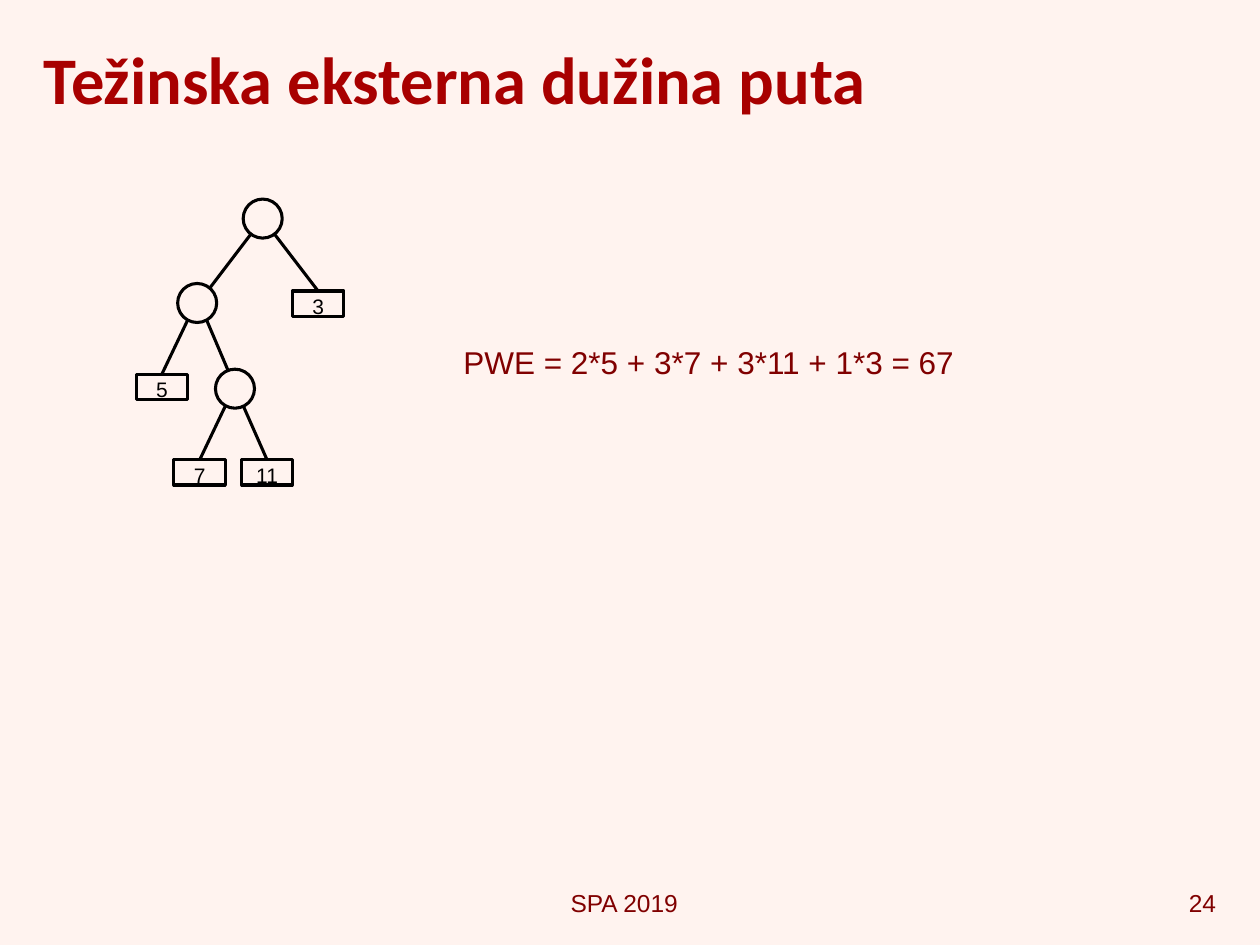
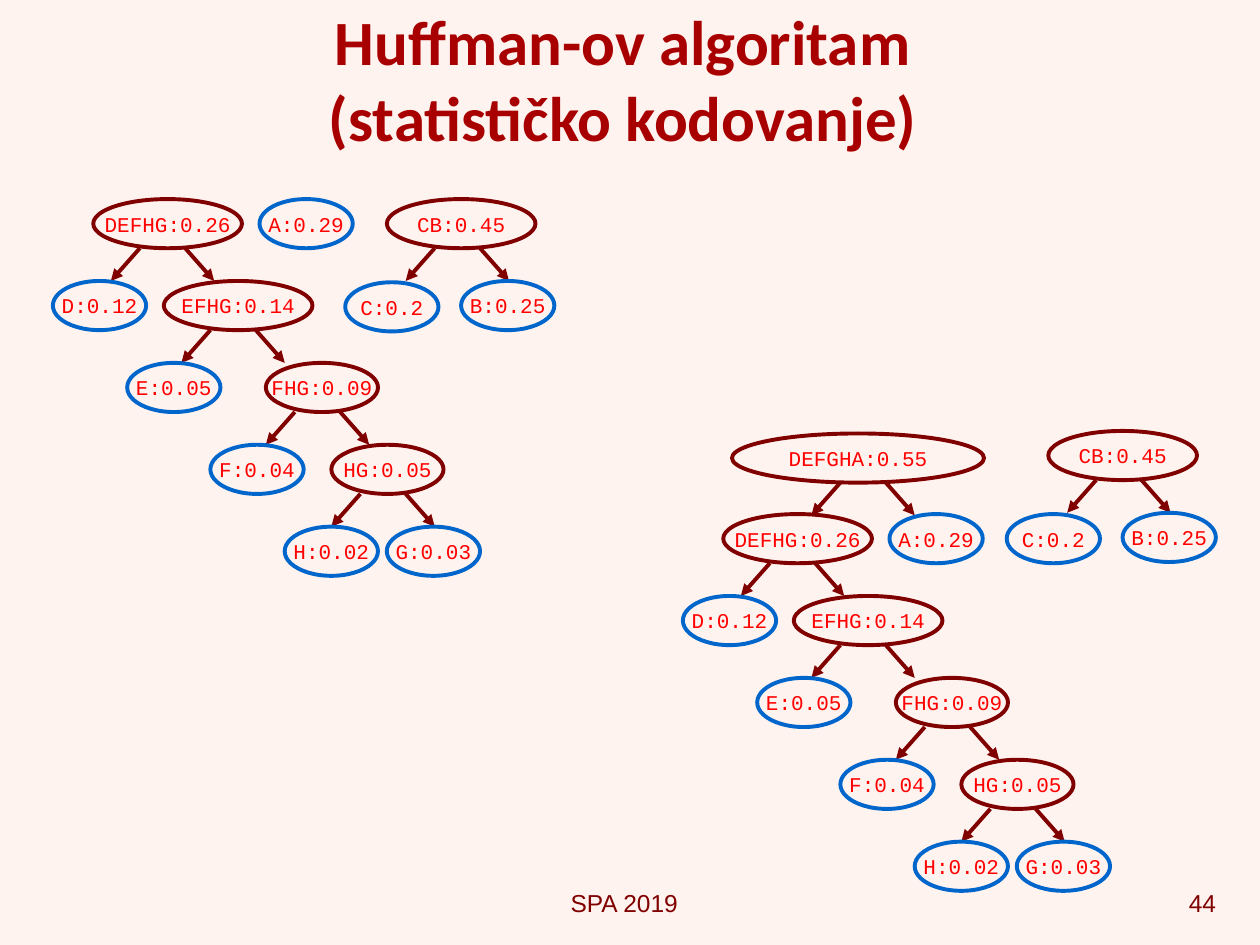
from dataclasses import dataclass

from lxml import etree
from pptx import Presentation
from pptx.dml.color import RGBColor
from pptx.enum.shapes import MSO_CONNECTOR, MSO_SHAPE
from pptx.enum.text import MSO_ANCHOR, PP_ALIGN
from pptx.oxml.ns import qn
from pptx.presentation import Presentation as Deck
from pptx.shapes.autoshape import Shape
from pptx.shapes.connector import Connector
from pptx.slide import Slide
from pptx.util import Inches, Pt

CREAM = RGBColor(0xFF, 0xF3, 0xEF)
CRIMSON = RGBColor(0xA8, 0x00, 0x00)
MAROON = RGBColor(0x80, 0x00, 0x00)
RED = RGBColor(0xFF, 0x00, 0x00)
BLUE = RGBColor(0x00, 0x66, 0xCC)
BLACK = RGBColor(0x00, 0x00, 0x00)

LEFT, CENTER, RIGHT = PP_ALIGN.LEFT, PP_ALIGN.CENTER, PP_ALIGN.RIGHT
TOP, MIDDLE = MSO_ANCHOR.TOP, MSO_ANCHOR.MIDDLE
OVAL, RECT = MSO_SHAPE.OVAL, MSO_SHAPE.RECTANGLE
STRAIGHT = MSO_CONNECTOR.STRAIGHT

SANS, HEAD, MONO = "Arial", "Calibri", "Courier New"
RING = 0.31
LEAF_TALL = 0.2
NODE_TALL = 0.39
DROP = 0.26
NEAR, FAR = 0.18, 0.41
THIN, THICK = 1.75, 2.25


@dataclass(frozen=True)
class Style:
    font: str
    size: float
    color: RGBColor
    align: PP_ALIGN = LEFT
    bold: bool = False


@dataclass(frozen=True)
class Box:
    left: float
    top: float
    width: float
    height: float


@dataclass(frozen=True)
class Leaf:
    label: str
    left: float
    top: float
    width: float
    start: tuple[float, float]


@dataclass(frozen=True)
class Node:
    label: str
    left: float
    top: float
    width: float = 0.74
    fork: float | None = None


NOTE = Style(SANS, 14, MAROON, CENTER)
PAGE = Style(SANS, 14, MAROON, RIGHT)
SUM = Style(SANS, 18, MAROON)
WEIGHT = Style(SANS, 12, BLACK, CENTER)
CODE = Style(MONO, 12, RED, CENTER)

RINGS = [(1.93, 1.58), (1.41, 2.25), (1.71, 2.93)]
BRANCHES = [((1.99, 1.86), (1.67, 2.28)), ((1.64, 2.54), (1.81, 2.94))]
LEAVES = [
    Leaf("3", 2.32, 2.31, 0.41, (2.18, 1.86)),
    Leaf("5", 1.08, 2.97, 0.41, (1.49, 2.54)),
    Leaf("7", 1.38, 3.65, 0.41, (1.79, 3.22)),
    Leaf("11", 1.92, 3.65, 0.4, (1.93, 3.22)),
]

MAIN_TREE = [
    Node("DEFHG:0.26", 0.74, 1.58, 1.18, 1.29),
    Node("D:0.12", 0.42, 2.23),
    Node("EFHG:0.14", 1.3, 2.23, 1.18, 1.85),
    Node("E:0.05", 1.01, 2.88),
    Node("FHG:0.09", 2.11, 2.88, 0.89, 2.52),
    Node("F:0.04", 1.67, 3.53),
    Node("HG:0.05", 2.63, 3.53, 0.89, 3.04),
    Node("H:0.02", 2.26, 4.18),
    Node("G:0.03", 3.07, 4.18),
    Node("A:0.29", 2.06, 1.58),
]
SIDE_TREE = [
    Node("CB:0.45", 3.07, 1.58, 1.18, 3.63),
    Node("C:0.2", 2.74, 2.24),
    Node("B:0.25", 3.66, 2.23),
]
JOINED_ROOT = [Node("DEFGHA:0.55", 5.81, 3.44, 2, 6.85)]
FOREST = [
    (MAIN_TREE, 0, 0),
    (SIDE_TREE, 0, 0),
    (JOINED_ROOT, 0, 0),
    (MAIN_TREE, 5, 2.5),
    (SIDE_TREE, 5.25, 1.84),
]


def write(shape: Shape, text: str, style: Style, anchor: MSO_ANCHOR = TOP,
          wrap: bool = True) -> None:
    frame = shape.text_frame
    frame.word_wrap = wrap
    frame.vertical_anchor = anchor
    para = frame.paragraphs[0]
    para.text = text
    para.alignment = style.align
    para.font.name = style.font
    para.font.size = Pt(style.size)
    para.font.bold = style.bold
    para.font.color.rgb = style.color


def add_text(slide: Slide, box: Box, text: str, style: Style,
             anchor: MSO_ANCHOR = TOP, wrap: bool = True) -> None:
    shape = slide.shapes.add_textbox(Inches(box.left), Inches(box.top),
                                     Inches(box.width), Inches(box.height))
    write(shape, text, style, anchor, wrap)


def add_outline(slide: Slide, kind: MSO_SHAPE, box: Box, color: RGBColor,
                weight: float) -> Shape:
    shape = slide.shapes.add_shape(kind, Inches(box.left), Inches(box.top),
                                   Inches(box.width), Inches(box.height))
    shape.shadow.inherit = False
    shape.fill.background()
    shape.line.color.rgb = color
    shape.line.width = Pt(weight)
    return shape


def add_line(slide: Slide, start: tuple[float, float], end: tuple[float, float],
             color: RGBColor, weight: float, arrow: bool = False) -> Connector:
    line = slide.shapes.add_connector(STRAIGHT, Inches(start[0]), Inches(start[1]),
                                      Inches(end[0]), Inches(end[1]))
    line.line.color.rgb = color
    line.line.width = Pt(weight)
    if arrow:
        etree.SubElement(line.line._get_or_add_ln(), qn("a:tailEnd"), type="triangle")
    etree.SubElement(line._element.spPr, qn("a:effectLst"))
    return line


def add_leaf(slide: Slide, leaf: Leaf) -> None:
    box = Box(leaf.left, leaf.top, leaf.width, LEAF_TALL)
    shape = add_outline(slide, RECT, box, BLACK, THIN)
    write(shape, leaf.label, WEIGHT, wrap=False)
    frame = shape.text_frame
    frame.margin_left = frame.margin_right = frame.margin_bottom = 0
    frame.margin_top = Inches(0.02)
    end = (leaf.left + leaf.width / 2, leaf.top)
    add_line(slide, leaf.start, end, BLACK, THIN).end_connect(shape, 0)


def add_node(slide: Slide, node: Node, right: float, down: float) -> None:
    top = node.top + down
    box = Box(node.left + right, top, node.width, NODE_TALL)
    color = BLUE if node.fork is None else MAROON
    shape = add_outline(slide, OVAL, box, color, THICK)
    write(shape, node.label, CODE, MIDDLE, wrap=False)
    if node.fork is None:
        return
    fork, base = node.fork + right, top + NODE_TALL
    for side in (-1, 1):
        add_line(slide, (fork + side * NEAR, base),
                 (fork + side * FAR, base + DROP), MAROON, THICK, arrow=True)


def add_slide(deck: Deck, title: str, size: float, align: PP_ALIGN,
              page: str) -> Slide:
    slide = deck.slides.add_slide(deck.slide_layouts[6])
    add_text(slide, Box(3.74, 7, 2.43, 0.33), "SPA 2019", NOTE)
    add_text(slide, Box(7.75, 7, 2, 0.33), page, PAGE)
    style = Style(HEAD, size, CRIMSON, align, True)
    add_text(slide, Box(0.25, 0.08, 9.5, 1.08), title, style, MIDDLE)
    return slide


def build_path(deck: Deck) -> None:
    slide = add_slide(deck, "Težinska eksterna dužina puta", 38, LEFT, "24")
    for left, top in RINGS:
        add_outline(slide, OVAL, Box(left, top, RING, RING), BLACK, THIN)
    for start, end in BRANCHES:
        add_line(slide, start, end, BLACK, THIN)
    for leaf in LEAVES:
        add_leaf(slide, leaf)
    add_text(slide, Box(3.58, 2.67, 4.13, 0.4),
             "PWE = 2*5 + 3*7 + 3*11 + 1*3 = 67", SUM, wrap=False)


def build_huffman(deck: Deck) -> None:
    title = "Huffman-ov algoritam \v(statističko kodovanje) "
    slide = add_slide(deck, title, 36, CENTER, "44")
    for tree, right, down in FOREST:
        for node in tree:
            add_node(slide, node, right, down)


def main() -> None:
    deck = Presentation()
    deck.slide_width, deck.slide_height = Inches(10), Inches(7.5)
    fill = deck.slide_master.background.fill
    fill.solid()
    fill.fore_color.rgb = CREAM
    build_path(deck)
    build_huffman(deck)
    deck.save("out.pptx")


if __name__ == "__main__":
    main()
